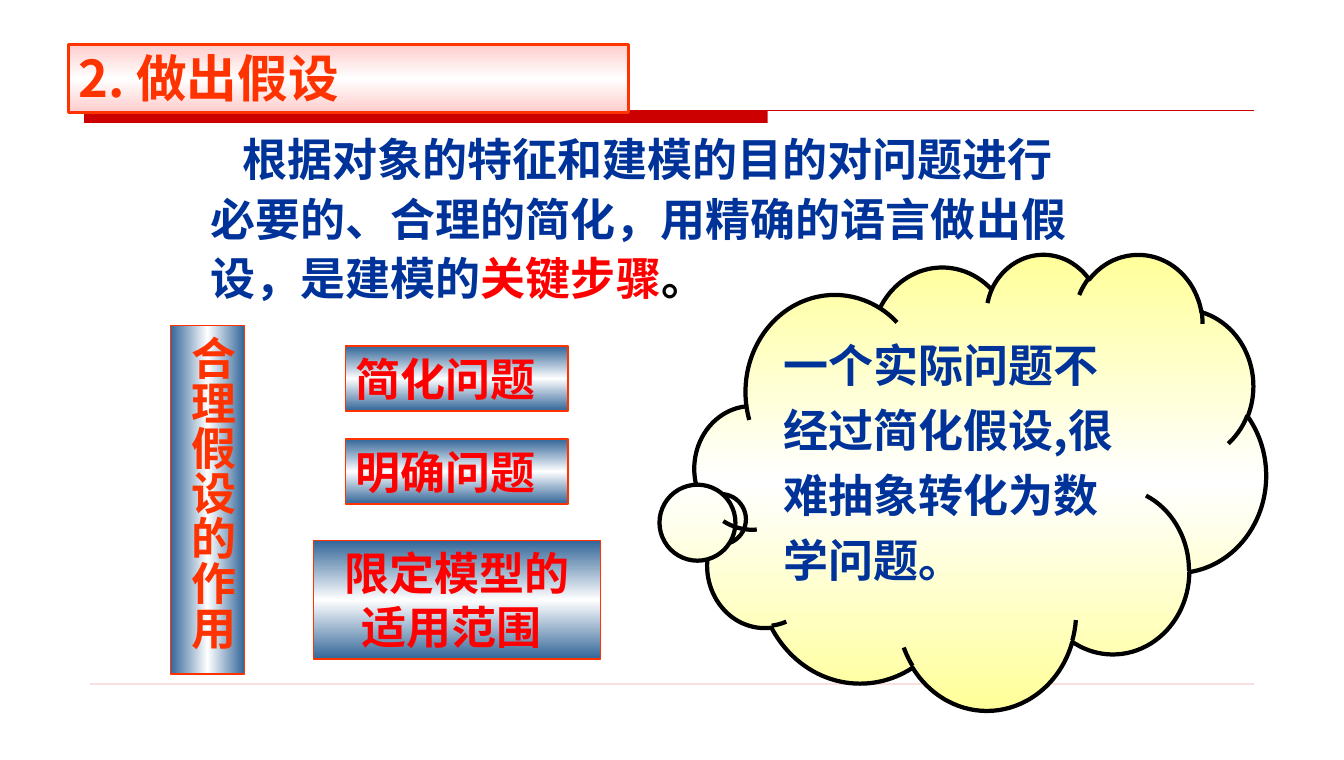
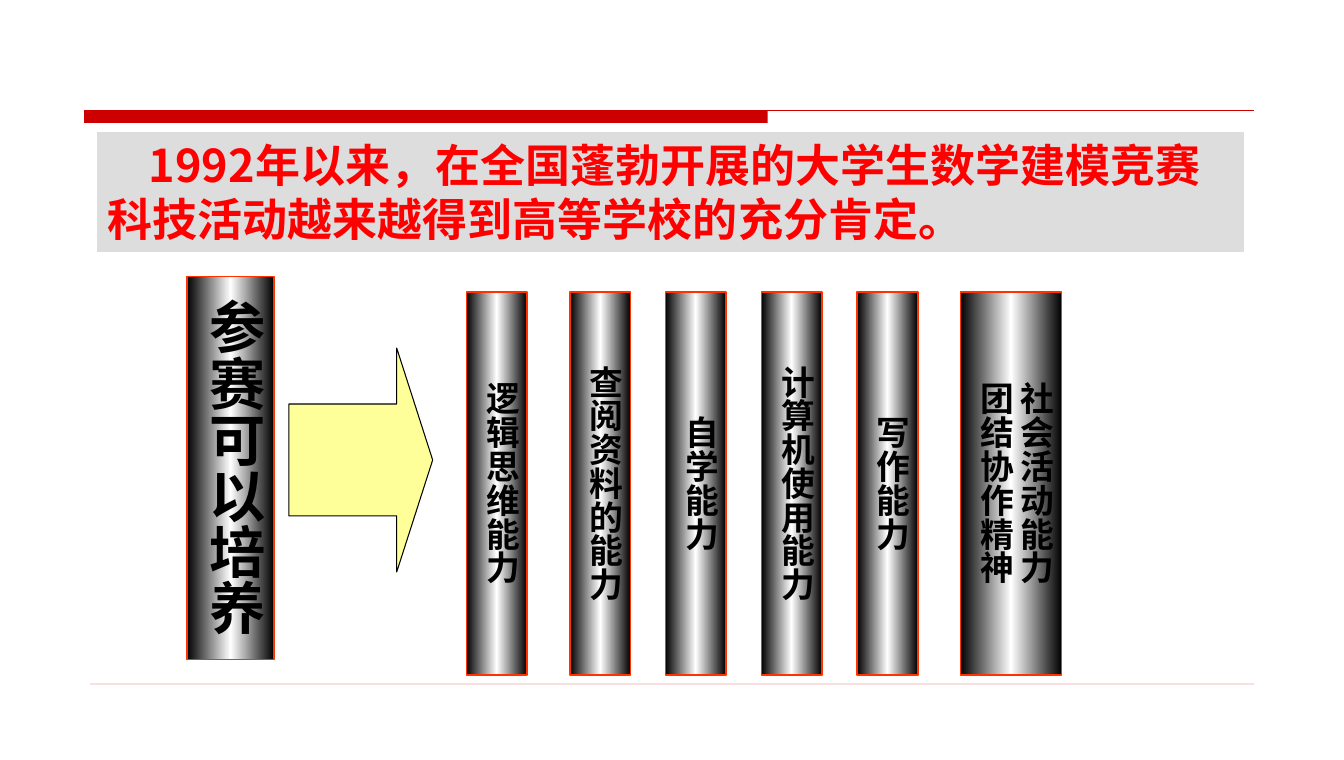
from copy import deepcopy
from dataclasses import dataclass

from lxml.etree import SubElement
from pptx import Presentation
from pptx.dml.color import RGBColor
from pptx.enum.shapes import MSO_CONNECTOR, MSO_SHAPE
from pptx.enum.text import MSO_ANCHOR, MSO_AUTO_SIZE, PP_ALIGN
from pptx.oxml.ns import qn
from pptx.util import Pt

SANS, SERIF = "Noto Sans CJK SC", "Times New Roman"
RED, ORANGE, CRIMSON = "FF0000", "FF3300", "CC0000"
NAVY, BLACK, WHITE = "003399", "000000", "FFFFFF"
STEEL, YELLOW, PINK, GREY = "336699", "FFFF99", "FFCCCC", "DDDDDD"


@dataclass(frozen=True)
class Frame:
    left: float
    top: float
    width: float
    height: float

    def lengths(self):
        return Pt(self.left), Pt(self.top), Pt(self.width), Pt(self.height)


@dataclass(frozen=True)
class Span:
    text: str
    color: str


@dataclass(frozen=True)
class Para:
    spans: tuple[Span, ...]
    spacing: float = 1.0
    indent: float = 0


@dataclass(frozen=True)
class TextStyle:
    size: float
    font: str = SANS
    align: PP_ALIGN = PP_ALIGN.LEFT
    vertical: bool = False
    wrap: bool = True
    grow: bool = True
    anchor: MSO_ANCHOR = MSO_ANCHOR.TOP


@dataclass(frozen=True)
class Look:
    fill: str
    line: str
    weight: float
    middle: str = ""  # a middle colour makes the fill a mirrored gradient
    angle: float = 90


def rgb(color: str) -> RGBColor:
    return RGBColor.from_string(color)


def lines(color: str, *texts: str) -> list[Para]:
    return [Para((Span(text, color),)) for text in texts]


def paint(shape, look: Look) -> None:
    """Give a shape its fill and outline."""
    shape.fill.solid()
    if look.middle:
        shape.fill.gradient()
        shape.fill.gradient_angle = look.angle
        stop_list = shape._element.spPr.find(".//" + qn("a:gsLst"))
        stop_list.append(deepcopy(stop_list[-1]))
        colors = (look.fill, look.middle, look.fill)
        for stop, color, position in zip(shape.fill.gradient_stops, colors, (0, 0.5, 1)):
            stop.color.rgb = rgb(color)
            stop.position = position
    else:
        shape.fill.fore_color.rgb = rgb(look.fill)
    shape.line.color.rgb = rgb(look.line)
    shape.line.width = Pt(look.weight)
    shape.shadow.inherit = False


def write(shape, paras: list[Para], style: TextStyle) -> None:
    """Fill a shape with formatted paragraphs."""
    frame = shape.text_frame
    frame.word_wrap = style.wrap
    frame.auto_size = MSO_AUTO_SIZE.SHAPE_TO_FIT_TEXT if style.grow else MSO_AUTO_SIZE.NONE
    frame.vertical_anchor = style.anchor
    across, along = (3.6, 7.2) if style.vertical else (7.2, 3.6)
    frame.margin_left = frame.margin_right = Pt(across)
    frame.margin_top = frame.margin_bottom = Pt(along)
    if style.vertical:
        body = frame._txBody.bodyPr
        body.set("vert", "eaVert")
        if style.align == PP_ALIGN.CENTER:
            body.set("anchorCtr", "1")
    for index, para in enumerate(paras):
        paragraph = frame.paragraphs[0] if index == 0 else frame.add_paragraph()
        paragraph.alignment = style.align
        paragraph.line_spacing = para.spacing
        properties = paragraph._p.get_or_add_pPr()
        properties.set("marL", "0")
        properties.set("indent", str(Pt(para.indent)))
        paragraph.font.size = Pt(style.size)
        paragraph.font.bold = True
        paragraph.font.name = style.font
        one_color = len({span.color for span in para.spans}) == 1
        if one_color:
            paragraph.font.color.rgb = rgb(para.spans[0].color)
        SubElement(properties.find(qn("a:defRPr")), qn("a:ea"), typeface=SANS)
        for span in para.spans:
            run = paragraph.add_run()
            run.text = span.text
            if not one_color:
                run.font.color.rgb = rgb(span.color)


def add_box(page, frame: Frame, look: Look, paras: list[Para] = (),
            style: TextStyle | None = None, kind=MSO_SHAPE.RECTANGLE, adjust=()):
    box = page.shapes.add_shape(kind, *frame.lengths())
    for index, value in enumerate(adjust):
        box.adjustments[index] = value
    paint(box, look)
    if style:
        write(box, paras, style)
    return box


def add_rule(page, left: float, right: float, top: float, weight: float, opacity: int = 100):
    rule = page.shapes.add_connector(
        MSO_CONNECTOR.STRAIGHT, Pt(left), Pt(top), Pt(right), Pt(top))
    rule.line.color.rgb = rgb(CRIMSON)
    rule.line.width = Pt(weight)
    if opacity < 100:
        color = rule._element.spPr.find(".//" + qn("a:srgbClr"))
        SubElement(color, qn("a:alpha"), val=str(opacity * 1000))
    SubElement(rule._element.spPr, qn("a:effectLst"))
    return rule


def decorate_master(page) -> None:
    """Draw the shared bands and hand them over to the slide master."""
    band = add_box(page, Frame(59.8, 78.5, 486, 8.8), Look(CRIMSON, CRIMSON, 0.75))
    band.line.fill.background()
    rules = [add_rule(page, 59.8, 891.4, 78.5, 0.75),
             add_rule(page, 64.1, 891.8, 486, 1, opacity=18)]
    tree = page.slide_layout.slide_master.shapes._spTree
    for number, part in enumerate([band, *rules], start=101):
        part._element.xpath(".//p:cNvPr")[0].set("id", str(number))
        tree.append(part._element)


def build_assumptions(page) -> None:
    # Title
    title = page.shapes.title
    title.left, title.top, title.width, title.height = Frame(48.6, 31.4, 398.2, 48.6).lengths()
    paint(title, Look(PINK, ORANGE, 2.25, WHITE))
    write(title, lines(ORANGE, "2. 做出假设"),
          TextStyle(36, grow=False, anchor=MSO_ANCHOR.BOTTOM))

    # Introduction
    intro = page.shapes.add_textbox(*Frame(142.6, 90, 628, 130.3).lengths())
    write(intro, [
        Para((Span("根据对象的特征和建模的目的对问题进行", NAVY),), indent=22.5),
        Para((Span("必要的、合理的简化，用精确的语言做出假", NAVY),), 1.1),
        Para((Span("设，是建模的", NAVY), Span("关键步骤", RED), Span("。", BLACK)), 1.1),
    ], TextStyle(32, SERIF, wrap=False))

    # Roles of sound assumptions
    add_box(page, Frame(121.3, 231.4, 52.6, 247.7), Look(STEEL, ORANGE, 1, WHITE, 0),
            lines(ORANGE, "合理假设的作用"), TextStyle(32, SERIF, vertical=True, wrap=False))
    steel = Look(STEEL, ORANGE, 1, WHITE)
    for top, text in ((246, "简化问题"), (312, "明确问题")):
        add_box(page, Frame(245.5, top, 158.4, 46.1), steel,
                lines(RED, text), TextStyle(32, SERIF, wrap=False))
    add_box(page, Frame(223, 384.2, 203.8, 84.2), steel,
            lines(RED, "限定模型的", "适用范围 "), TextStyle(32, SERIF, PP_ALIGN.CENTER))

    # Thought cloud
    thought = Span("一个实际问题不经过简化假设,很难抽象转化为数学问题。", NAVY)
    add_box(page, Frame(493.9, 180, 406.1, 324), Look(YELLOW, BLACK, 3, WHITE),
            [Para((thought,), 1.2)], TextStyle(32, grow=False),
            MSO_SHAPE.CLOUD_CALLOUT, (-0.458, 0.084))


def build_abilities(page) -> None:
    # Statement
    statement = Span("1992年以来，在全国蓬勃开展的大学生数学建模竞赛"
                     "科技活动越来越得到高等学校的充分肯定。", RED)
    add_box(page, Frame(69.4, 94.3, 814.6, 84.2), Look(GREY, GREY, 0.75),
            [Para((statement,), indent=29.2)], TextStyle(32))

    # Heading pillar and arrow
    pillar = Look(BLACK, ORANGE, 1, WHITE, 0)
    add_box(page, Frame(133, 196.4, 61.9, 272.2), pillar, lines(BLACK, "参赛可以培养"),
            TextStyle(40, align=PP_ALIGN.CENTER, vertical=True))
    add_box(page, Frame(205.4, 247.3, 102.2, 159.1), Look(YELLOW, BLACK, 0.75),
            kind=MSO_SHAPE.RIGHT_ARROW, adjust=(0.5, 0.25))

    # Ability pillars
    abilities = (
        (331.5, 43.2, ("逻辑思维能力",)),
        (405.2, 43.2, ("查阅资料的能力",)),
        (473, 43.2, ("自学能力",)),
        (541.2, 43.2, ("计算机使用能力",)),
        (609.4, 43.2, ("写作能力",)),
        (682.8, 72, ("社会活动能力", "团结协作精神")),
    )
    for left, width, texts in abilities:
        add_box(page, Frame(left, 207.5, width, 272.2), pillar, lines(BLACK, *texts),
                TextStyle(24, align=PP_ALIGN.CENTER, vertical=True))


def main() -> None:
    deck = Presentation()
    deck.slide_width, deck.slide_height = Pt(955.44), Pt(540)
    title_only, blank = deck.slide_layouts[5], deck.slide_layouts[6]
    first = deck.slides.add_slide(title_only)
    decorate_master(first)
    build_assumptions(first)
    build_abilities(deck.slides.add_slide(blank))
    deck.save("out.pptx")


if __name__ == "__main__":
    main()
